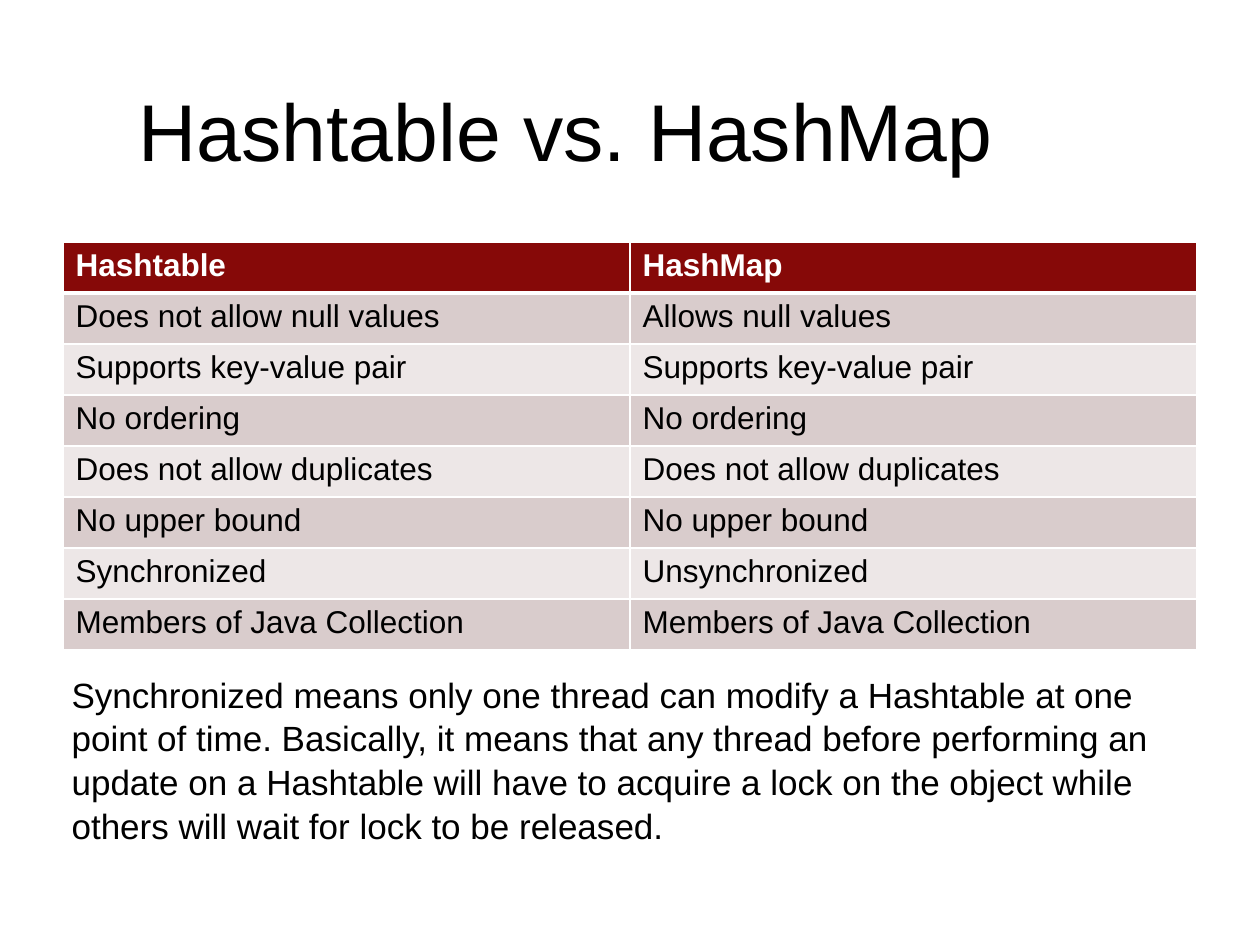
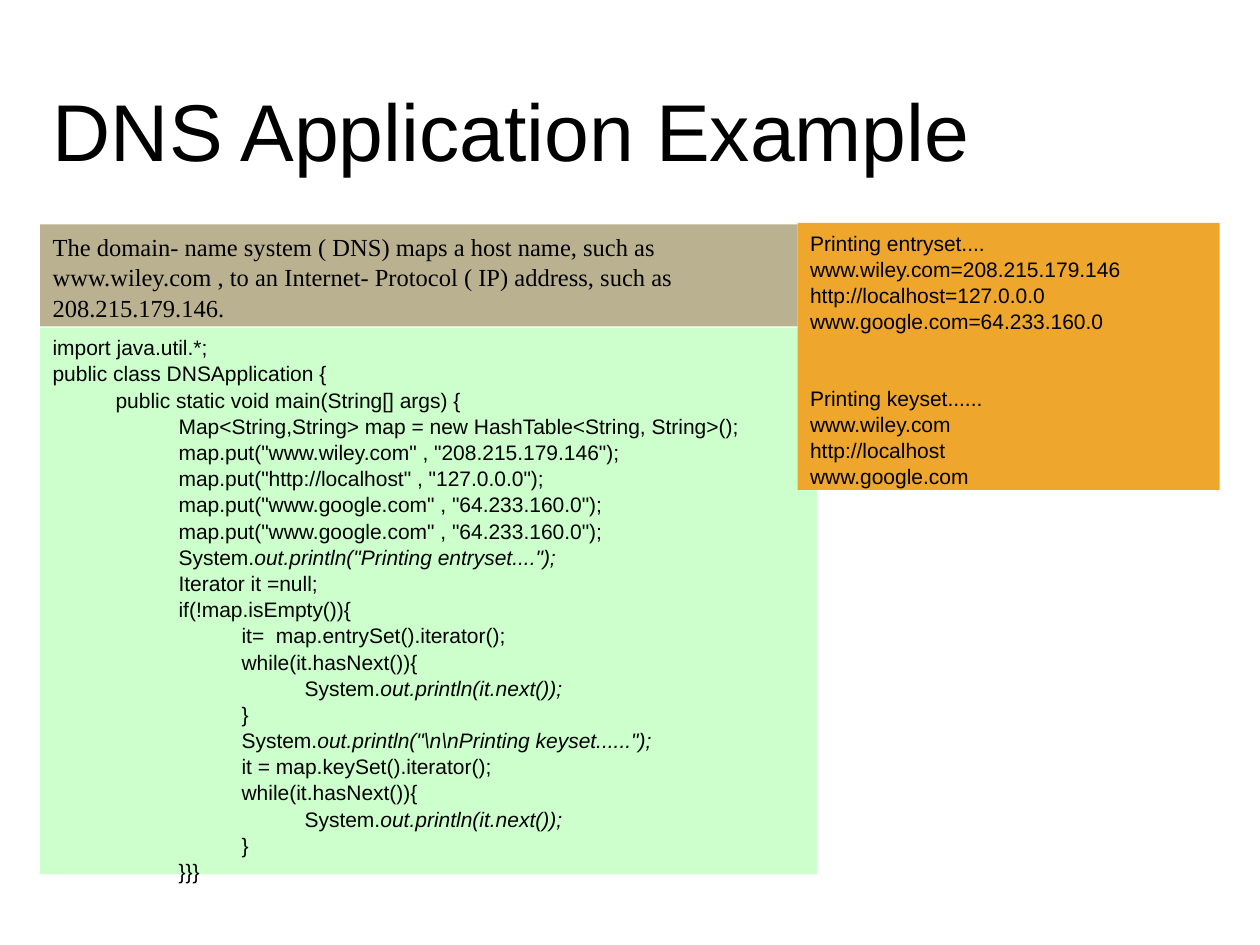
from pptx import Presentation
from pptx.dml.color import RGBColor
from pptx.enum.shapes import MSO_SHAPE
from pptx.enum.text import MSO_ANCHOR, MSO_AUTO_SIZE, PP_ALIGN
from pptx.oxml.ns import qn
from pptx.util import Pt
from lxml.etree import SubElement

BLACK, WHITE = "000000", "FFFFFF"
HEADER, BANDS = "860908", ("D9CCCC", "EDE7E7")
GREEN, ORANGE, TAN = "CCFFCC", "EEA62D", "BAB191"

COMPARISON = [
    ("Hashtable", "HashMap"),
    ("Does not allow null values", "Allows null values"),
    ("Supports key-value pair", "Supports key-value pair"),
    ("No ordering", "No ordering"),
    ("Does not allow duplicates", "Does not allow duplicates"),
    ("No upper bound", "No upper bound"),
    ("Synchronized", "Unsynchronized"),
    ("Members of Java Collection", "Members of Java Collection"),
]

SYNC_NOTE = (
    "Synchronized means only one thread can modify a Hashtable at one point of time. "
    "Basically, it means that any thread before performing an update on a Hashtable "
    "will have to acquire a lock on the object while others will wait for lock to be released."
)

DNS_NOTE = (
    "The domain- name system ( DNS) maps a host name, such as www.wiley.com , "
    "to an Internet- Protocol ( IP) address, such as 208.215.179.146."
)

CODE = r"""import java.util.*;
public class DNSApplication {
	public static void main(String[] args) {
		Map<String,String> map = new HashTable<String, String>();
		map.put("www.wiley.com" , "208.215.179.146");
		map.put("http://localhost" , "127.0.0.0");
		map.put("www.google.com" , "64.233.160.0");
		map.put("www.google.com" , "64.233.160.0");
		System.out.println("Printing entryset....");
		Iterator it =null;
		if(!map.isEmpty()){
			it=  map.entrySet().iterator();
			while(it.hasNext()){
				System.out.println(it.next());
			}
			System.out.println("\n\nPrinting keyset......");
			it = map.keySet().iterator();
			while(it.hasNext()){
				System.out.println(it.next());
			}
		}}}"""

ENTRIES = """Printing entryset....
www.wiley.com=208.215.179.146
http://localhost=127.0.0.0
www.google.com=64.233.160.0"""

KEYS = """Printing keyset......
www.wiley.com
http://localhost
www.google.com"""


def rgb(value):
    return RGBColor.from_string(value)


class Deck:
    font = {"name": "Arial", "bold": False, "italic": False}
    line_spacing = 1.04
    tab = 36

    def __init__(self):
        self.prs = Presentation()
        self.prs.slide_width, self.prs.slide_height = Pt(720), Pt(540)
        self.s = None

    def style(self, font, size, color=BLACK, **changes):
        for key, value in {**self.font, "size": Pt(size), **changes}.items():
            setattr(font, key, value)
        font.color.rgb = rgb(color)

    def run(self, p, text, size, **changes):
        r = p.add_run()
        r.text = text
        self.style(r.font, size, **changes)

    def paragraphs(self, tf, lines, size, **changes):
        tf.word_wrap = True
        tf.vertical_anchor = MSO_ANCHOR.TOP
        for i, line in enumerate(lines):
            p = tf.paragraphs[0] if i == 0 else tf.add_paragraph()
            p.alignment = PP_ALIGN.LEFT
            p.line_spacing = self.line_spacing
            self.run(p, line, size, **changes)
        return tf

    def slide(self, title, left, width):
        self.s = self.prs.slides.add_slide(self.prs.slide_layouts[5])
        sp = self.s.shapes.title
        sp.left, sp.top, sp.width, sp.height = Pt(left), Pt(39.6), Pt(width), Pt(68.4)
        tf = sp.text_frame
        tf.auto_size = MSO_AUTO_SIZE.NONE
        tf.vertical_anchor = MSO_ANCHOR.MIDDLE
        p = tf.paragraphs[0]
        p.alignment = PP_ALIGN.LEFT
        self.run(p, title, 46)

    def text(self, box, text, size):
        sp = self.s.shapes.add_textbox(*map(Pt, box))
        self.paragraphs(sp.text_frame, [text], size)

    def panel(self, box, fill, lines, size, **changes):
        sp = self.s.shapes.add_shape(MSO_SHAPE.RECTANGLE, *map(Pt, box))
        sp.shadow.inherit = False
        sp.fill.solid()
        sp.fill.fore_color.rgb = rgb(fill)
        sp.line.fill.background()
        return self.paragraphs(sp.text_frame, lines, size, **changes)

    def code(self, box, fill, source, size):
        tf = self.panel(box, fill, source.splitlines(), size)
        for p in tf.paragraphs:
            text = p.runs[0].text
            tabs = SubElement(p._p.get_or_add_pPr(), qn("a:tabLst"))
            for n in range(1, 5):
                SubElement(tabs, qn("a:tab"), pos=str(Pt(self.tab * n)), algn="l")
            start, call, rest = text.partition("out.println")
            if call:
                p.runs[0].text = start
                self.run(p, call + rest, size, italic=True)

    def borders(self, cell, **widths):
        tcPr = cell._tc.get_or_add_tcPr()
        for i, side in enumerate("LRTB"):
            width = str(Pt(widths.get(side, 1)))
            ln = SubElement(tcPr, qn(f"a:ln{side}"), w=width)
            fill = SubElement(ln, qn("a:solidFill"))
            SubElement(fill, qn("a:srgbClr"), val=WHITE)
            tcPr.insert(i, ln)

    def table(self, box, rows, size):
        shape = self.s.shapes.add_table(len(rows), len(rows[0]), *map(Pt, box))
        for i, row in enumerate(rows):
            head = i == 0
            for j, text in enumerate(row):
                cell = shape.table.cell(i, j)
                cell.fill.solid()
                cell.fill.fore_color.rgb = rgb(HEADER if head else BANDS[(i - 1) % 2])
                self.run(cell.text_frame.paragraphs[0], text, size,
                         color=WHITE if head else BLACK, bold=head)
                self.borders(cell, T=3 if i == 1 else 1, B=3 if head else 1)


def main():
    deck = Deck()

    deck.slide("Hashtable vs. HashMap", 72, 576)
    deck.table((36, 138.24, 648, 233.28), COMPARISON, 18)
    deck.text((33.84, 380.16, 650.16, 104.4), SYNC_NOTE, 20)

    deck.slide("DNS Application Example", 23, 625)
    deck.code((23, 187.2, 444.2, 312.5), GREEN, CODE, 12)
    output = ENTRIES.splitlines() + KEYS.splitlines()
    tf = deck.panel((455.8, 127.4, 241.2, 152.6), ORANGE, output, 12)
    tf.paragraphs[len(ENTRIES.splitlines())].space_before = Pt(28.8)
    deck.panel((23, 128.2, 432.8, 58.3), TAN, [DNS_NOTE], 14, name="Times New Roman")

    deck.prs.save("out.pptx")


if __name__ == "__main__":
    main()
